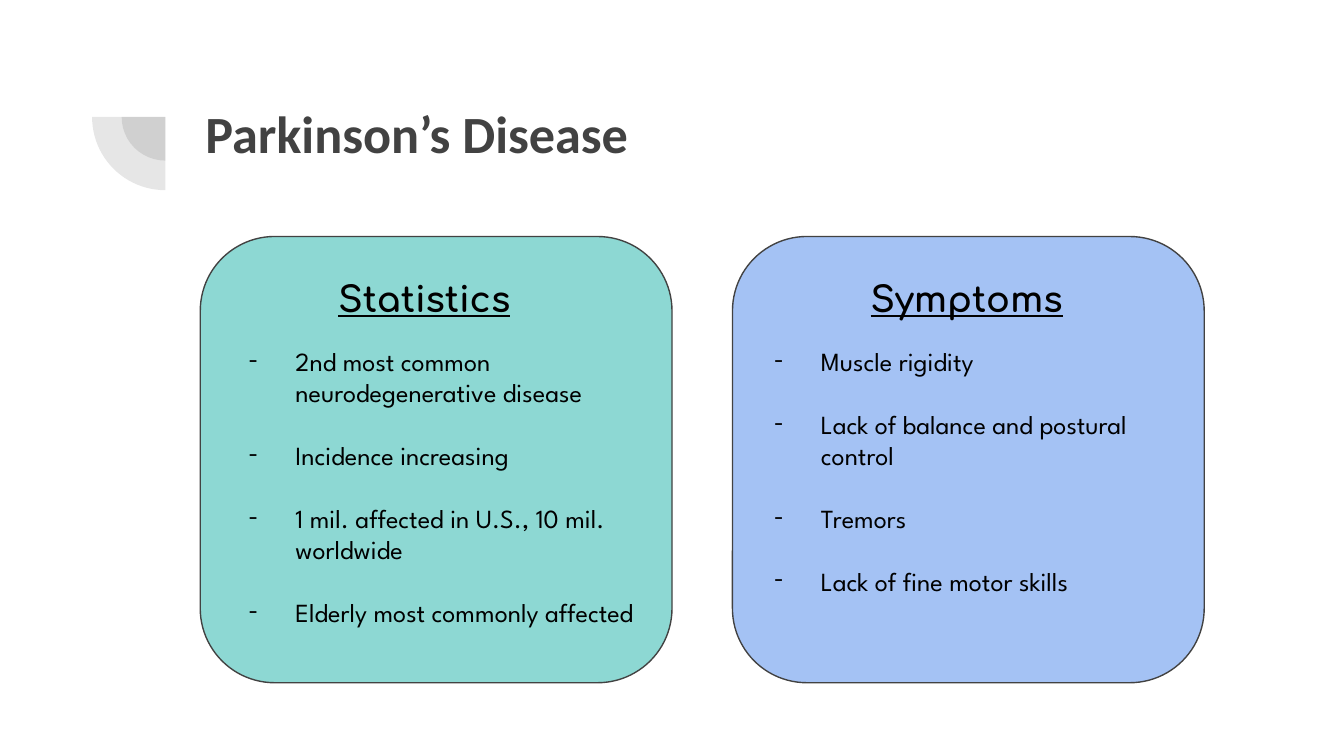
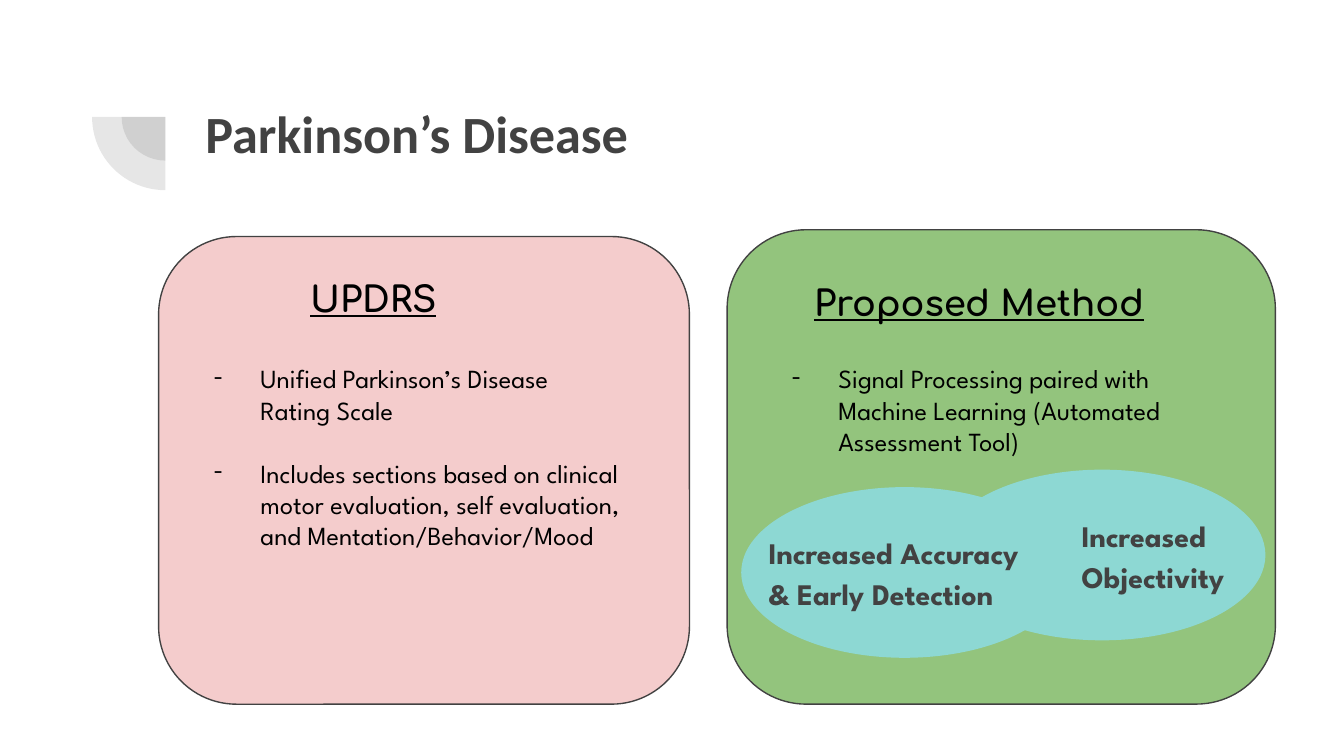
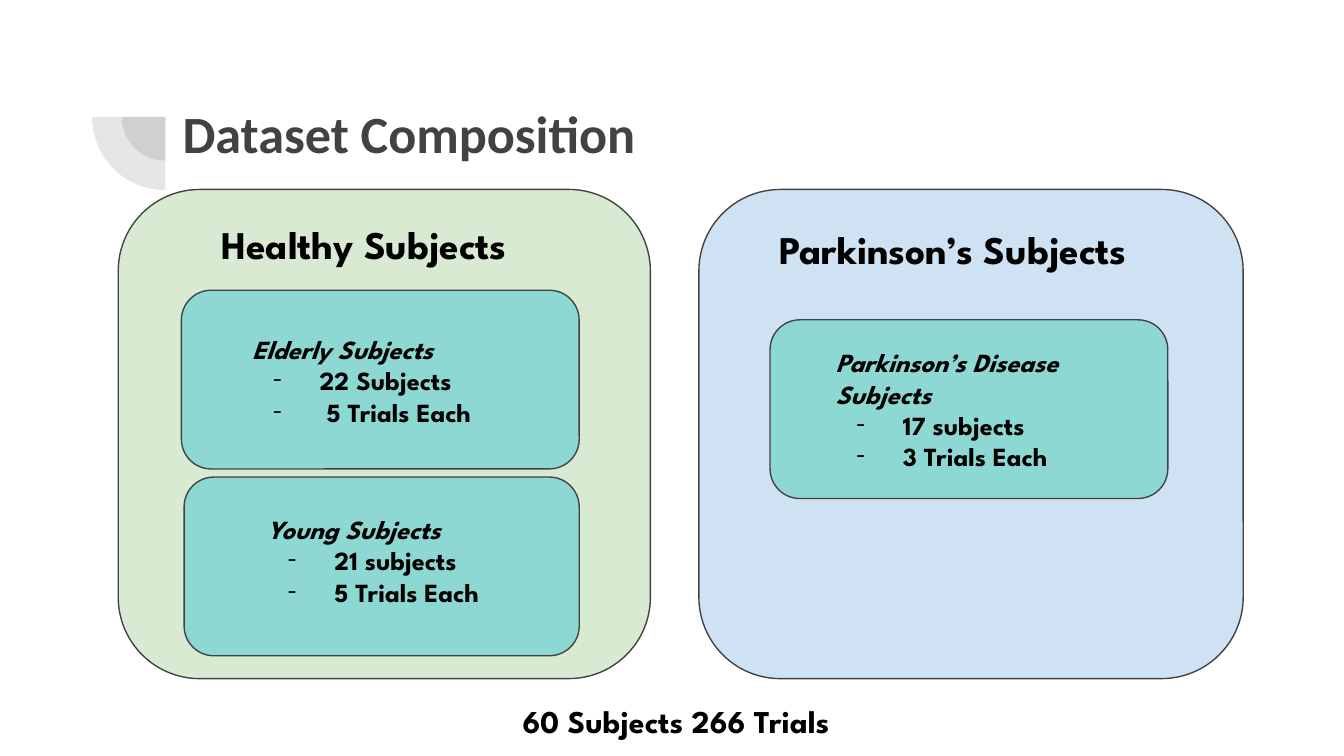
from lxml import etree
from pptx import Presentation
from pptx.dml.color import RGBColor
from pptx.enum.shapes import MSO_SHAPE
from pptx.enum.text import MSO_ANCHOR, PP_ALIGN
from pptx.oxml.ns import qn
from pptx.util import Inches, Pt

PIE = MSO_SHAPE.PIE
ELLIPSE = MSO_SHAPE.OVAL
ROUNDED = MSO_SHAPE.ROUNDED_RECTANGLE
TOP = MSO_ANCHOR.TOP
LEFT = PP_ALIGN.LEFT

BLACK, GRAY, TEAL = "000000", "424242", "8DD8D3"
BLUE, PINK, GREEN = "A4C2F4", "F4CCCC", "93C47D"
PALE_GREEN, PALE_BLUE = "D9EAD3", "CFE2F3"

TITLE_FONT, HEADING_FONT, BODY_FONT = "Calibri", "Comfortaa", "League Spartan"
BODY_SIZE = 14
BULLET_GAP = 16.8  # one line of body text
WIDE_TITLE_BOX = (1.43, 0.65, 7.98, 1.42)
ORNAMENT_CENTER = (1.23, 0.87)
ORNAMENT_DIAMETERS = (0.65, 1.09)


def color(hex_string):
    return RGBColor.from_string(hex_string)


def add_filled_shape(slide, kind, box, fill, line=None):
    shape = slide.shapes.add_shape(kind, *map(Inches, box))
    shape.shadow.inherit = False
    shape.fill.solid()
    shape.fill.fore_color.rgb = color(fill)
    if line:
        shape.line.color.rgb = color(line)
        shape.line.width = Pt(0.75)
    else:
        shape.line.fill.background()
    return shape


def add_card(slide, box, fill):
    add_filled_shape(slide, ROUNDED, box, fill, GRAY)


def add_ornament(slide):
    """Two translucent quarter circles around one centre."""
    center_x, center_y = ORNAMENT_CENTER
    for diameter in ORNAMENT_DIAMETERS:
        radius = diameter / 2
        box = (center_x - radius, center_y - radius, diameter, diameter)
        shape = add_filled_shape(slide, PIE, box, GRAY)
        shape.adjustments[0], shape.adjustments[1] = 107.93, 162
        shape.rotation = 270
        fill_color = shape._element.spPr.find(qn("a:solidFill"))[0]
        etree.SubElement(fill_color, qn("a:alpha"), val="13000")


def add_text_frame(slide, box):
    text_frame = slide.shapes.add_textbox(*map(Inches, box)).text_frame
    text_frame.word_wrap = True
    text_frame.vertical_anchor = TOP
    text_frame.margin_left = text_frame.margin_right = Inches(0.1)
    text_frame.margin_top = text_frame.margin_bottom = Inches(0.1)
    return text_frame


def format_paragraph(paragraph, font_name, size, text_color=BLACK,
                     bold=False, italic=False, underline=False):
    paragraph.alignment = LEFT
    for run in paragraph.runs:
        font = run.font
        font.name, font.size = font_name, Pt(size)
        font.bold, font.italic, font.underline = bold, italic, underline
        font.color.rgb = color(text_color)


def add_text(slide, box, text, font_name, size, **style):
    text_frame = add_text_frame(slide, box)
    text_frame.text = text
    paragraph = text_frame.paragraphs[0]
    format_paragraph(paragraph, font_name, size, **style)
    return paragraph


def add_heading(slide, box, text):
    add_text(slide, box, text, HEADING_FONT, 19, bold=True, underline=True)


def add_bold_label(slide, box, text, size):
    add_text(slide, box, text, BODY_FONT, size, bold=True)


def add_callout(slide, ellipse_box, text_box, text):
    add_filled_shape(slide, ELLIPSE, ellipse_box, TEAL, TEAL)
    paragraph = add_text(slide, text_box, text, BODY_FONT, 16,
                         text_color=GRAY, bold=True)
    paragraph.line_spacing = 1.15


def make_bullet(paragraph):
    properties = paragraph._p.get_or_add_pPr()
    properties.set("marL", str(Inches(0.5)))
    properties.set("indent", str(Inches(-0.35)))
    etree.SubElement(properties, qn("a:buFont"), typeface=BODY_FONT)
    etree.SubElement(properties, qn("a:buChar"), char="-")


def add_bullets(slide, box, items):
    text_frame = add_text_frame(slide, box)
    text_frame.text = "\n".join(items)
    for index, paragraph in enumerate(text_frame.paragraphs):
        format_paragraph(paragraph, BODY_FONT, BODY_SIZE)
        paragraph.space_before = Pt(BULLET_GAP if index else 0)
        make_bullet(paragraph)


def add_group_facts(slide, card_box, text_box, name, facts):
    """Teal card with an italic group name above its bulleted facts."""
    add_card(slide, card_box, TEAL)
    text_frame = add_text_frame(slide, text_box)
    text_frame.text = "\n".join([name, *facts])
    for index, paragraph in enumerate(text_frame.paragraphs):
        format_paragraph(paragraph, BODY_FONT, BODY_SIZE,
                         bold=True, italic=index == 0)
        if index:
            make_bullet(paragraph)


def add_titled_slide(presentation, title, title_box):
    slide = presentation.slides.add_slide(presentation.slide_layouts[6])
    add_ornament(slide)
    add_text(slide, title_box, title, TITLE_FONT, 28,
             text_color=GRAY, bold=True)
    return slide


def build_disease_slide(presentation):
    slide = add_titled_slide(presentation, "Parkinson’s Disease",
                             WIDE_TITLE_BOX)
    columns = [
        (1.49, 1.6, TEAL, "Statistics", [
            "2nd most common neurodegenerative disease",
            "Incidence increasing",
            "1 mil. affected in U.S., 10 mil. worldwide",
            "Elderly most commonly affected"]),
        (5.45, 5.51, BLUE, "Symptoms", [
            "Muscle rigidity",
            "Lack of balance and postural control",
            "Tremors",
            "Lack of fine motor skills"]),
    ]
    for card_left, bullets_left, fill, heading, items in columns:
        add_card(slide, (card_left, 1.76, 3.51, 3.32), fill)
        add_heading(slide, (card_left + 0.93, 1.96, 1.66, 0.52), heading)
        add_bullets(slide, (bullets_left, 2.47, 3.4, 2.4), items)


def build_method_slide(presentation):
    slide = add_titled_slide(presentation, "Parkinson’s Disease",
                             WIDE_TITLE_BOX)
    add_card(slide, (1.18, 1.76, 3.95, 3.48), PINK)
    add_heading(slide, (2.21, 1.96, 1.66, 0.52), "UPDRS")
    add_bullets(slide, (1.34, 2.6, 3.4, 2.4), [
        "Unified Parkinson’s Disease Rating Scale",
        "Includes sections based on clinical motor evaluation, "
        "self evaluation, and Mentation/Behavior/Mood"])

    add_card(slide, (5.41, 1.71, 4.08, 3.53), GREEN)
    add_heading(slide, (5.96, 1.99, 2.97, 0.52), "Proposed Method")
    add_bullets(slide, (5.64, 2.6, 3.4, 1.26), [
        "Signal Processing paired with Machine Learning "
        "(Automated Assessment Tool)"])
    add_callout(slide, (6.99, 3.5, 2.42, 1.26), (7.95, 3.71, 1.33, 0.83),
                "Increased Objectivity")
    add_callout(slide, (5.52, 3.63, 2.42, 1.26), (5.62, 3.84, 2.21, 1.4),
                "Increased Accuracy & Early Detection")


def build_dataset_slide(presentation):
    slide = add_titled_slide(presentation, "Dataset Composition",
                             (1.26, 0.65, 4.22, 0.79))
    add_card(slide, (0.88, 1.41, 3.96, 3.64), PALE_GREEN)
    add_bold_label(slide, (1.55, 1.54, 2.57, 0.5), "Healthy Subjects", 21)
    add_group_facts(slide, (1.35, 2.16, 2.96, 1.33), (1.78, 2.38, 1.98, 0.98),
                    "Elderly Subjects", ["22 Subjects", " 5 Trials Each"])
    add_group_facts(slide, (1.37, 3.55, 2.94, 1.33), (1.89, 3.72, 1.98, 0.79),
                    "Young Subjects", ["21 subjects", "5 Trials Each"])

    add_card(slide, (5.2, 1.41, 4.05, 3.64), PALE_BLUE)
    add_bold_label(slide, (5.7, 1.58, 3.06, 0.5), "Parkinson’s Subjects", 21)
    add_group_facts(slide, (5.73, 2.38, 2.96, 1.33), (6.12, 2.48, 1.98, 0.98),
                    "Parkinson’s Disease Subjects",
                    ["17 subjects", "3 Trials Each"])
    add_bold_label(slide, (3.79, 5.12, 3.26, 0.5), "60 Subjects 266 Trials", 17)


def main():
    presentation = Presentation()
    presentation.slide_width = Inches(10)
    presentation.slide_height = Inches(10 * 9 / 16)
    build_disease_slide(presentation)
    build_method_slide(presentation)
    build_dataset_slide(presentation)
    presentation.save("out.pptx")


if __name__ == "__main__":
    main()
